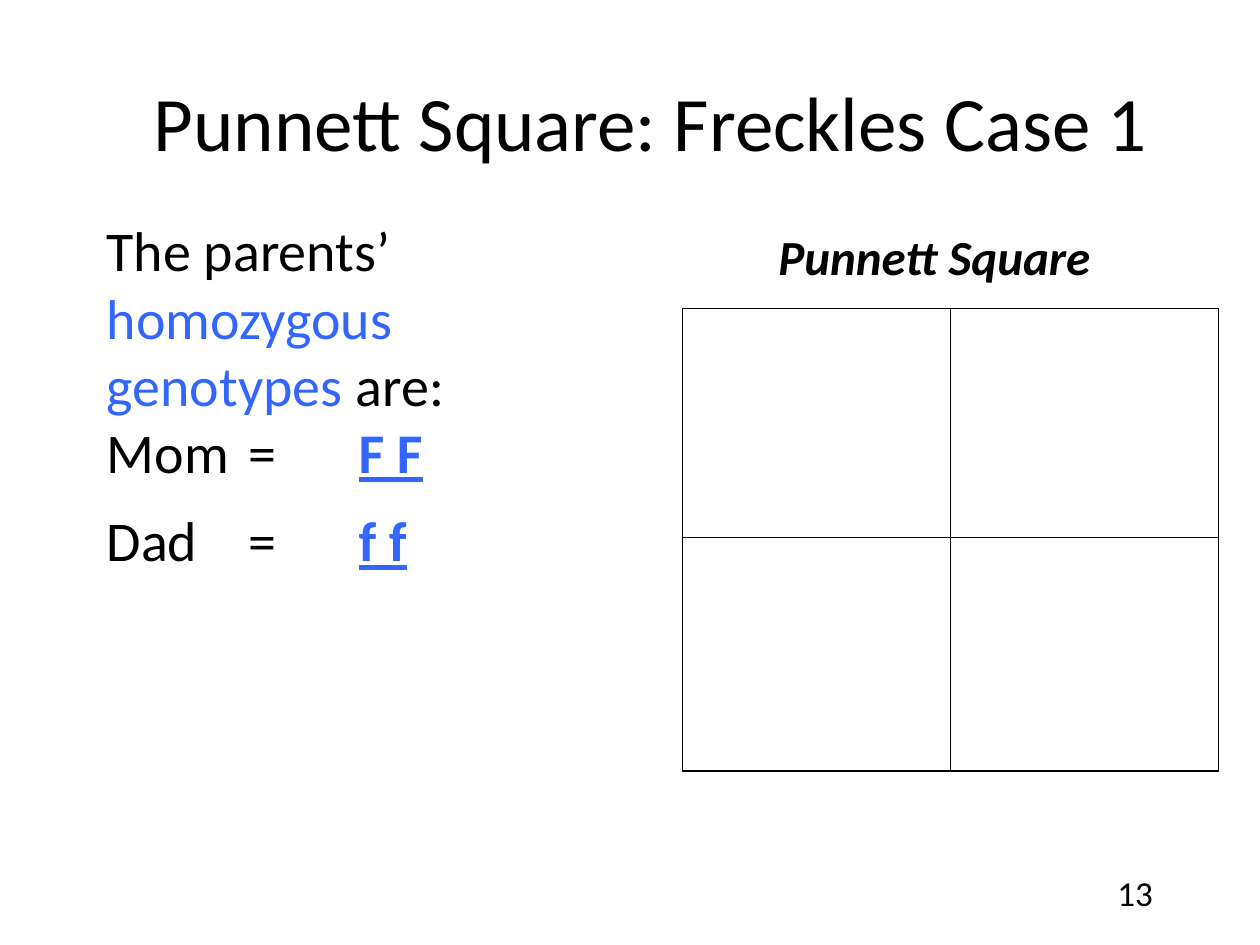
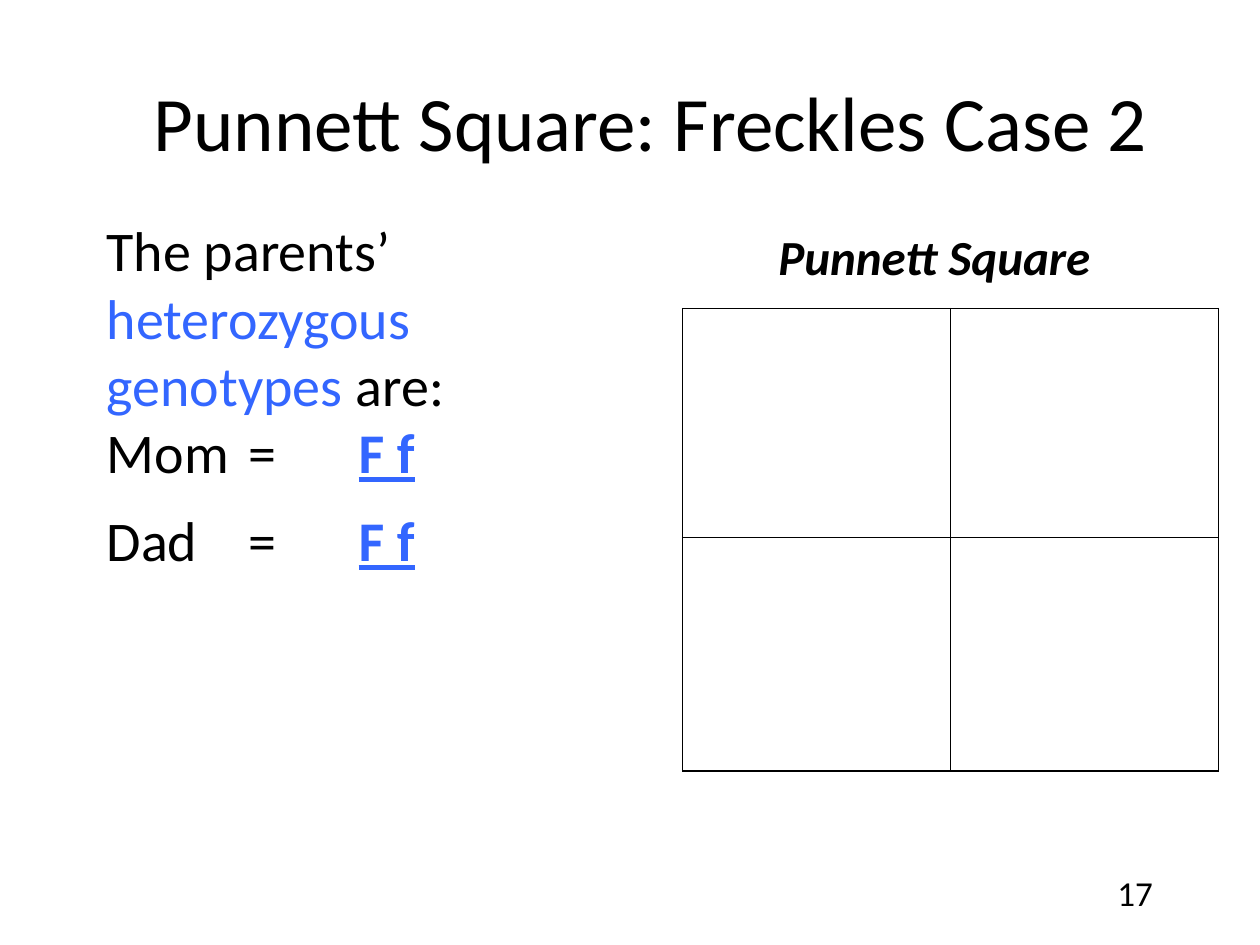
"""Build two Punnett square exercise slides about freckles."""
from dataclasses import dataclass

from lxml.etree import SubElement
from pptx import Presentation
from pptx.dml.color import RGBColor
from pptx.enum.text import MSO_ANCHOR, PP_ALIGN
from pptx.oxml.ns import qn
from pptx.util import Cm, Pt


@dataclass(frozen=True)
class Theme:
    font: str = "Calibri"
    ink: str = "000000"
    accent: str = "3366FF"
    title_size: int = 44
    body_size: int = 32
    heading_size: int = 28
    number_size: int = 20
    border_width: int = 1


@dataclass(frozen=True)
class Box:
    left: float
    top: float
    width: float
    height: float

    def lengths(self) -> tuple:
        return Cm(self.left), Cm(self.top), Cm(self.width), Cm(self.height)


@dataclass(frozen=True)
class FrecklesCase:
    number: int
    zygosity: str
    mom: str
    dad: str
    page: int


THEME = Theme()
TITLE_BOX = Box(2.33, 0.85, 21.59, 3.18)
PARENTS_BOX = Box(1.9, 4.23, 9.74, 8.71)
HEADING_BOX = Box(13.12, 4.45, 11.43, 1.44)
PAGE_BOX = Box(18.2, 17.36, 5.29, 1.27)
SQUARE_BOX = Box(13.76, 6.22, 10.8, 9.32)
ROW_HEIGHTS = (4.62, 4.7)
GENOTYPE_TABS = (2.87, 5.08)
CASES = (
    FrecklesCase(1, "homozygous", "F F", "f f", 13),
    FrecklesCase(2, "heterozygous", "F f", "F f", 17),
)


def style_paragraph(paragraph, size: int, align=PP_ALIGN.LEFT) -> None:
    paragraph.alignment = align
    paragraph.font.name = THEME.font
    paragraph.font.size = Pt(size)
    paragraph.font.color.rgb = RGBColor.from_string(THEME.ink)


def add_frame(slide, box: Box, anchor=MSO_ANCHOR.TOP):
    frame = slide.shapes.add_textbox(*box.lengths()).text_frame
    frame.word_wrap = True
    frame.vertical_anchor = anchor
    return frame


def add_run(paragraph, text: str, color: str = THEME.ink):
    run = paragraph.add_run()
    run.text = text
    run.font.color.rgb = RGBColor.from_string(color)
    return run


def add_title(slide, text: str) -> None:
    title = slide.shapes.title
    title.left, title.top, title.width, title.height = TITLE_BOX.lengths()
    title.text_frame.text = text
    title.text_frame.vertical_anchor = MSO_ANCHOR.MIDDLE
    style_paragraph(title.text_frame.paragraphs[0], THEME.title_size, PP_ALIGN.CENTER)


def add_genotype(frame, parent: str, genotype: str):
    paragraph = frame.add_paragraph()
    tab_list = SubElement(paragraph._p.get_or_add_pPr(), qn("a:tabLst"))
    for position in GENOTYPE_TABS:
        SubElement(tab_list, qn("a:tab"), pos=str(Cm(position)), algn="l")
    style_paragraph(paragraph, THEME.body_size)
    add_run(paragraph, f"{parent}\t=\t")
    alleles = add_run(paragraph, genotype, THEME.accent)
    alleles.font.bold = True
    alleles.font.underline = True
    return paragraph


def add_parents(slide, case: FrecklesCase) -> None:
    frame = add_frame(slide, PARENTS_BOX)
    intro = frame.paragraphs[0]
    style_paragraph(intro, THEME.body_size)
    add_run(intro, "The parents’ ")
    add_run(intro, f"{case.zygosity} genotypes", THEME.accent)
    add_run(intro, " are:")
    add_genotype(frame, "Mom", case.mom).space_after = Pt(12)
    add_genotype(frame, "Dad", case.dad)


def add_heading(slide) -> None:
    heading = add_frame(slide, HEADING_BOX).paragraphs[0]
    style_paragraph(heading, THEME.heading_size, PP_ALIGN.CENTER)
    heading.font.bold = True
    heading.font.italic = True
    add_run(heading, "Punnett Square")


def add_page_number(slide, page: int) -> None:
    number = add_frame(slide, PAGE_BOX, MSO_ANCHOR.MIDDLE).paragraphs[0]
    style_paragraph(number, THEME.number_size, PP_ALIGN.RIGHT)
    add_run(number, str(page))


def outline_cell(cell) -> None:
    properties = cell._tc.get_or_add_tcPr()
    for side in ("lnL", "lnR", "lnT", "lnB"):
        line = SubElement(properties, qn(f"a:{side}"), w=str(Pt(THEME.border_width)))
        fill = SubElement(line, qn("a:solidFill"))
        SubElement(fill, qn("a:srgbClr"), val=THEME.ink)
    cell.fill.background()


def add_square(slide) -> None:
    square = slide.shapes.add_table(2, 2, *SQUARE_BOX.lengths()).table
    square.first_row = False
    square.horz_banding = False
    for row, height in zip(square.rows, ROW_HEIGHTS):
        row.height = Cm(height)
    for cell in square.iter_cells():
        outline_cell(cell)


def add_case(deck, case: FrecklesCase) -> None:
    slide = deck.slides.add_slide(deck.slide_layouts.get_by_name("Title Only"))
    add_title(slide, f"Punnett Square: Freckles Case {case.number}")
    add_parents(slide, case)
    add_heading(slide)
    add_page_number(slide, case.page)
    add_square(slide)


def main() -> None:
    deck = Presentation()
    deck.slide_width, deck.slide_height = Cm(25.4), Cm(19.05)
    for case in CASES:
        add_case(deck, case)
    deck.save("out.pptx")


if __name__ == "__main__":
    main()
